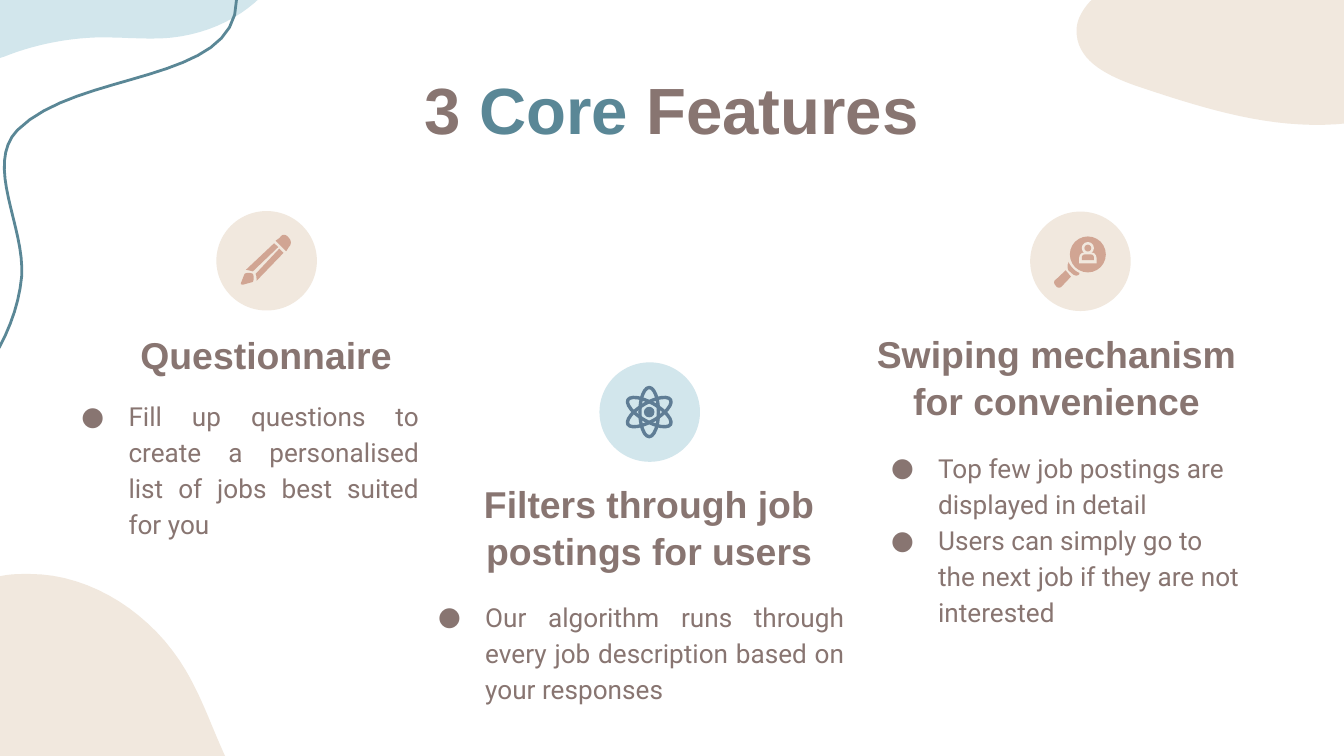
from dataclasses import dataclass

from lxml.etree import SubElement
from pptx import Presentation
from pptx.dml.color import RGBColor
from pptx.enum.shapes import MSO_SHAPE
from pptx.enum.text import MSO_ANCHOR, PP_ALIGN
from pptx.oxml.ns import qn
from pptx.util import Cm, Pt


@dataclass(frozen=True)
class Theme:
    text: str = "887571"
    teal: str = "5A8796"
    sky: str = "D2E6EC"
    sand: str = "F1E8DE"
    clay: str = "D1A593"
    slate: str = "5F7D95"
    head_font: str = "Arial"
    body_font: str = "Roboto"
    title_size: int = 35
    head_size: int = 20
    body_size: int = 14
    curve_width: float = 1.5
    orbit_width: float = 1.8


THEME = Theme()

# Outlines in cm: a pair is a straight step, six numbers a Bezier step
SKY_BLOB = [
    (5.46, -0.94), (5.59, -1.45, 5.51, -1.98, 5.36, -2.46),
    (5.23, -2.92, 5.05, -3.4, 4.72, -3.73), (4.29, -4.19, 3.58, -4.39, 2.97, -4.24),
    (2.41, -4.09, 1.93, -3.66, 1.73, -3.1), (1.6, -2.7, 1.6, -2.2, 1.4, -1.75),
    (1.19, -1.4, 0.79, -1.22, 0.38, -1.14), (0, -1.04, -0.43, -0.99, -0.79, -0.84),
    (-1.09, -0.71, -1.35, -0.48, -1.45, -0.2), (-1.6, 0.3, -1.37, 0.62, -1.07, 0.84),
    (-0.69, 1.12, -0.36, 1.22, 0.08, 1.07), (0.61, 0.86, 1.17, 0.74, 1.75, 0.71),
    (2.26, 0.69, 2.77, 0.76, 3.25, 0.71), (4.17, 0.61, 5.08, 0.08, 5.41, -0.79)]
LOWER_SAND_BLOB = [
    (0.56, 10.85), (0.41, 10.85, 0.28, 10.85, 0.13, 10.87),
    (-0.58, 10.97, -1.19, 11.38, -1.75, 11.81), (-2.21, 12.17, -2.62, 12.57, -2.9, 13.06),
    (-2.9, 15.27), (4.8, 15.27), (4.65, 15.04, 4.5, 14.78, 4.37, 14.53),
    (4.06, 13.92, 3.86, 13.26, 3.51, 12.67), (2.9, 11.63, 1.75, 10.85, 0.56, 10.85)]
UPPER_SAND_BLOB = [
    (28.58, 0.36), (29.01, -0.08, 29.31, -0.56, 29.01, -1.24),
    (28.73, -1.91, 27.99, -2.24, 27.28, -2.26), (26.57, -2.29, 25.88, -2.06, 25.22, -1.8),
    (21.51, -0.48), (21.21, -0.38, 20.85, -0.2, 20.6, 0.03),
    (20.45, 0.2, 20.32, 0.41, 20.35, 0.66), (20.4, 1.19, 20.98, 1.45, 21.49, 1.63),
    (22.63, 2.01, 23.8, 2.39, 25.02, 2.36), (26.37, 2.34, 27.1, 1.75, 27.99, 0.89),
    (28.17, 0.71, 28.4, 0.53, 28.58, 0.36)]
TEAL_CURVE = [
    (-1.55, 8.26), (-0.56, 7.59, 0.3, 6.43, 0.41, 5.23),
    (0.48, 4.29, -0.3, 3.12, 0.33, 2.46), (1.47, 1.32, 4.47, 1.6, 4.47, 0)]
PENCIL = [
    [(5.18, 4.6), (4.65, 5.1), (4.78, 5.13), (5.26, 4.67)],
    [(5.36, 4.44), (5.33, 4.44, 5.31, 4.47, 5.28, 4.5), (5.21, 4.55), (5.41, 4.75),
     (5.46, 4.67), (5.51, 4.62, 5.51, 4.55, 5.46, 4.5), (5.44, 4.47, 5.41, 4.44, 5.36, 4.44)],
    [(5.28, 4.7), (4.83, 5.18), (4.85, 5.21, 4.85, 5.26, 4.85, 5.31), (5.36, 4.78)],
    [(4.7, 5.16), (4.67, 5.16, 4.65, 5.16, 4.62, 5.18), (4.55, 5.36),
     (4.55, 5.38, 4.57, 5.38, 4.6, 5.38), (4.78, 5.33),
     (4.8, 5.28, 4.8, 5.23, 4.78, 5.18), (4.75, 5.16, 4.72, 5.16, 4.7, 5.16)]]
LENS_HANDLE = [
    [(20.19, 4.95), (20.19, 4.98), (20.17, 5, 20.17, 5.05, 20.19, 5.11), (20.27, 5.18),
     (20.32, 5.22, 20.37, 5.22, 20.4, 5.18), (20.4, 5.16),
     (20.32, 5.13, 20.24, 5.05, 20.19, 4.95)],
    [(20.14, 5.11), (19.96, 5.28), (19.91, 5.31, 19.91, 5.36, 19.96, 5.41),
     (19.99, 5.45, 20.04, 5.45, 20.07, 5.41), (20.24, 5.23)]]

# Each feature: heading with box and line spacing, bullets with box and alignment
FEATURES = [
    ("Questionnaire", (1.27, 6.17, 7.52, 0.94), 1.15,
     ["Fill up questions to create a personalised list of jobs best suited for you"],
     (0.91, 7.67, 7.26, 2.36), PP_ALIGN.JUSTIFY),
    ("Filters through job postings for users", (8.51, 9.47, 7.52, 0.94), 1.05,
     ["Our algorithm runs through every job description based on your responses"],
     (7.65, 11.35, 8.56, 1.9), PP_ALIGN.JUSTIFY),
    ("Swiping mechanism for convenience", (16.21, 6.17, 7.52, 1.88), 1.05,
     ["Top few job postings are displayed in detail",
      "Users can simply go to the next job if they are not interested"],
     (16.21, 8.31, 7.52, 3.71), PP_ALIGN.LEFT)]


def rgb(color):
    return RGBColor.from_string(color)


def paint(s, fill=None, line=None, width=0):
    s.shadow.inherit = False
    if fill:
        s.fill.solid()
        s.fill.fore_color.rgb = rgb(fill)
    else:
        s.fill.background()
    if line:
        s.line.color.rgb = rgb(line)
        s.line.width = Pt(width)
    else:
        s.line.fill.background()
    return s


def add_preset(shapes, kind, box, **style):
    return paint(shapes.add_shape(kind, *map(Cm, box)), **style)


def add_oval(shapes, cx, cy, w, h, **style):
    return add_preset(shapes, MSO_SHAPE.OVAL, (cx - w / 2, cy - h / 2, w, h), **style)


def trace(steps, parts=16):
    """Turn straight and Bezier steps into a list of points."""
    points = [steps[0]]
    for step in steps[1:]:
        if len(step) == 2:
            points.append(step)
            continue
        controls = (points[-1], step[:2], step[2:4], step[4:])
        for i in range(1, parts + 1):
            t = i / parts
            weights = ((1 - t) ** 3, 3 * t * (1 - t) ** 2, 3 * t * t * (1 - t), t ** 3)
            points.append(tuple(sum(w * c[k] for w, c in zip(weights, controls))
                                for k in (0, 1)))
    return points


def add_outline(shapes, steps, close=True, **style):
    start, *rest = [(Cm(x), Cm(y)) for x, y in trace(steps)]
    builder = shapes.build_freeform(*start)
    builder.add_line_segments(rest, close=close)
    return paint(builder.convert_to_shape(), **style)


def add_text(shapes, box, paragraphs, font, size, align, bold=False, spacing=1.0, bullet=False):
    """Each paragraph is a list of (text, colour) runs."""
    tf = shapes.add_textbox(*map(Cm, box)).text_frame
    tf.word_wrap = True
    tf.vertical_anchor = MSO_ANCHOR.MIDDLE
    tf.margin_left = tf.margin_right = tf.margin_top = tf.margin_bottom = Cm(0.25)
    for i, runs in enumerate(paragraphs):
        p = tf.add_paragraph() if i else tf.paragraphs[0]
        p.alignment = align
        p.line_spacing = spacing
        if bullet:
            add_bullet(p, font)
        for text, color in runs:
            r = p.add_run()
            r.text = text
            r.font.name, r.font.size, r.font.bold = font, Pt(size), bold
            r.font.color.rgb = rgb(color)


def add_bullet(p, font):
    pPr = p._p.get_or_add_pPr()
    pPr.set("marL", str(Cm(1.27)))
    pPr.set("indent", str(Cm(-0.89)))
    SubElement(SubElement(pPr, qn("a:buClr")), qn("a:srgbClr"), val=THEME.text)
    SubElement(pPr, qn("a:buFont"), typeface=font)
    SubElement(pPr, qn("a:buChar"), char="●")


def add_atom(shapes, cx, cy):
    for angle in (0, 60, 120):
        orbit = add_oval(shapes, cx, cy, 0.35, 0.93, line=THEME.slate, width=THEME.orbit_width)
        orbit.rotation = angle
    add_oval(shapes, cx, cy, 0.2, 0.2, fill=THEME.slate)


def add_magnifier(shapes, cx, cy):
    add_oval(shapes, cx, cy, 0.68, 0.68, fill=THEME.clay)
    # Person in the lens: a sand rim, then a clay core
    for color, head, w, h, top in ((THEME.sand, 0.23, 0.33, 0.21, -0.04),
                                   (THEME.clay, 0.13, 0.23, 0.11, 0)):
        add_oval(shapes, cx, cy - 0.12, head, head, fill=color)
        body = add_preset(shapes, MSO_SHAPE.ROUND_2_SAME_RECTANGLE,
                          (cx - w / 2, cy + top, w, h), fill=color)
        body.adjustments[0] = 0.5
    for steps in LENS_HANDLE:
        add_outline(shapes, steps, fill=THEME.clay)


def main():
    prs = Presentation()
    prs.slide_width, prs.slide_height = Cm(25.4), Cm(14.29)
    shapes = prs.slides.add_slide(prs.slide_layouts[6]).shapes

    # Corner decoration
    add_outline(shapes, SKY_BLOB, fill=THEME.sky)
    add_outline(shapes, LOWER_SAND_BLOB, fill=THEME.sand)
    add_outline(shapes, TEAL_CURVE, close=False, line=THEME.teal, width=THEME.curve_width)
    add_outline(shapes, UPPER_SAND_BLOB, fill=THEME.sand)

    # Title
    title = [("3 ", THEME.text), ("Core", THEME.teal), (" Features", THEME.text)]
    add_text(shapes, (1.47, 1.24, 22.45, 1.6), [title], THEME.head_font,
             THEME.title_size, PP_ALIGN.CENTER, bold=True)

    # Feature texts
    for heading, head_box, spacing, bullets, body_box, align in FEATURES:
        add_text(shapes, head_box, [[(heading, THEME.text)]], THEME.head_font,
                 THEME.head_size, PP_ALIGN.CENTER, bold=True, spacing=spacing)
        add_text(shapes, body_box, [[(b, THEME.text)] for b in bullets], THEME.body_font,
                 THEME.body_size, align, spacing=1.15, bullet=True)

    # Badges and icons
    for cx, cy, color in ((5.04, 4.93, THEME.sand), (12.28, 7.79, THEME.sky),
                          (20.42, 4.94, THEME.sand)):
        add_oval(shapes, cx, cy, 1.9, 1.88, fill=color)
    for steps in PENCIL:
        add_outline(shapes, steps, fill=THEME.clay)
    add_atom(shapes, 12.27, 7.79)
    add_magnifier(shapes, 20.56, 4.81)

    prs.save("out.pptx")


if __name__ == "__main__":
    main()
